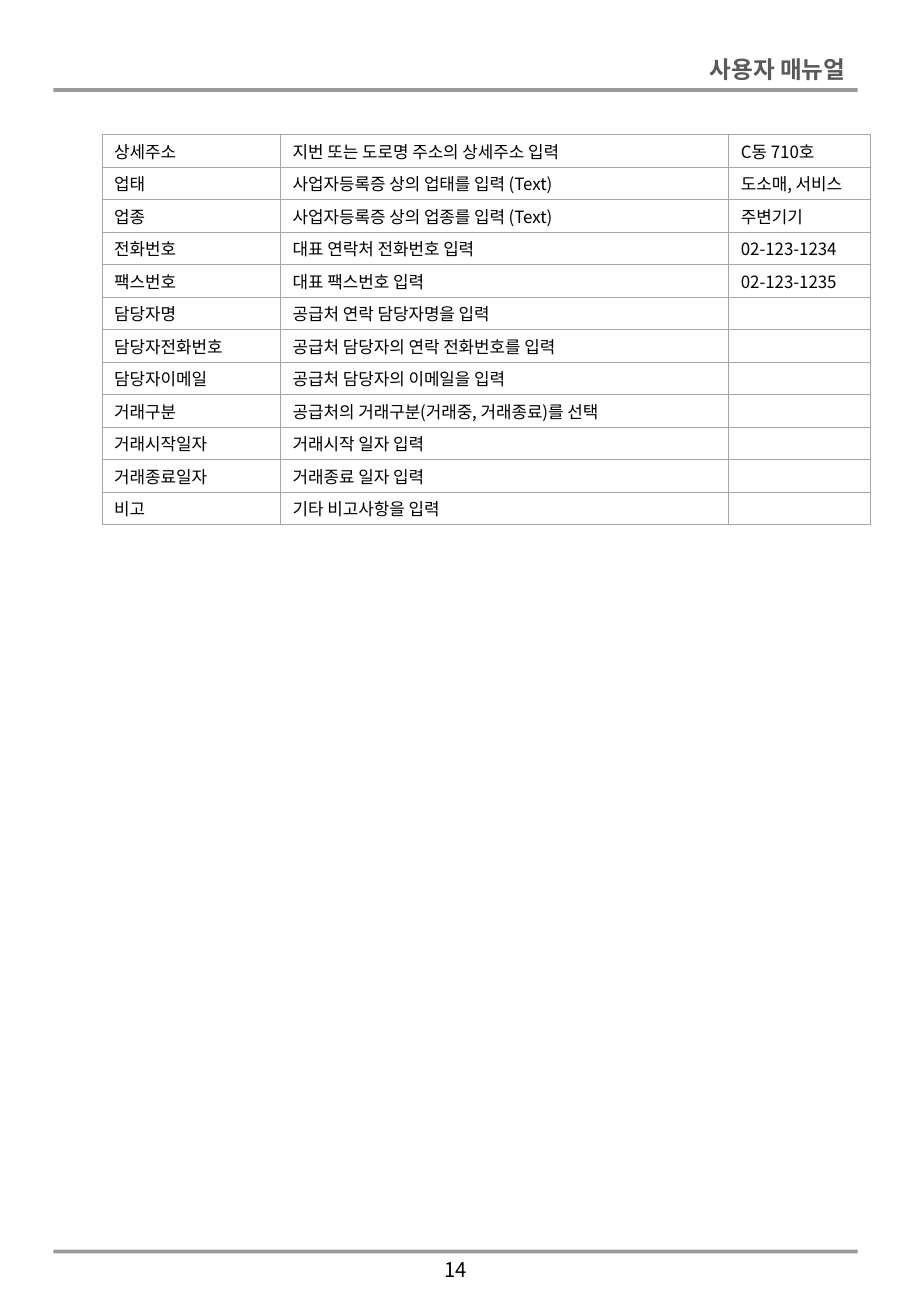
from lxml import etree
from pptx import Presentation
from pptx.dml.color import RGBColor
from pptx.enum import shapes, text
from pptx.oxml.ns import qn
from pptx.util import Inches, Pt

FONT = "Noto Sans CJK KR"
BLACK = RGBColor(0x00, 0x00, 0x00)
TITLE_GRAY = RGBColor(0x59, 0x59, 0x59)
BORDER_GRAY = RGBColor(0xA6, 0xA6, 0xA6)

COLUMN_WIDTHS = (1.47, 3.69, 1.17)
FIELDS = [
    ("상세주소", "지번 또는 도로명 주소의 상세주소 입력", "C동 710호"),
    ("업태", "사업자등록증 상의 업태를 입력 (Text)", "도소매, 서비스"),
    ("업종", "사업자등록증 상의 업종를 입력 (Text)", "주변기기"),
    ("전화번호", "대표 연락처 전화번호 입력", "02-123-1234"),
    ("팩스번호", "대표 팩스번호 입력", "02-123-1235"),
    ("담당자명", "공급처 연락 담당자명을 입력", ""),
    ("담당자전화번호", "공급처 담당자의 연락 전화번호를 입력", ""),
    ("담당자이메일", "공급처 담당자의 이메일을 입력", ""),
    ("거래구분", "공급처의 거래구분(거래중, 거래종료)를 선택", ""),
    ("거래시작일자", "거래시작 일자 입력", ""),
    ("거래종료일자", "거래종료 일자 입력", ""),
    ("비고", "기타 비고사항을 입력", ""),
]


def write_text(tf, content, size=10, color=BLACK, bold=False,
               align=text.PP_ALIGN.LEFT):
    p = tf.paragraphs[0]
    p.alignment = align
    if not content:
        # An empty cell keeps the text size so its row does not grow
        etree.SubElement(p._p, qn("a:endParaRPr"), sz=str(size * 100))
        return
    r = p.add_run()
    r.text = content
    r.font.size = Pt(size)
    r.font.bold = bold
    r.font.color.rgb = color
    r.font.name = FONT
    etree.SubElement(r._r.get_or_add_rPr(), qn("a:ea"), typeface=FONT)


def add_label(slide, box, content, **fmt):
    sp = slide.shapes.add_textbox(*(Inches(v) for v in box))
    sp.text_frame.word_wrap = True
    write_text(sp.text_frame, content, **fmt)


def add_rule(slide, left, y, width):
    line = slide.shapes.add_connector(
        shapes.MSO_CONNECTOR.STRAIGHT,
        Inches(left), Inches(y), Inches(left + width), Inches(y))
    line.line.width = Pt(2.25)
    line.line.color.rgb = BLACK
    spPr = line._element.spPr
    etree.SubElement(next(spPr.iter(qn("a:srgbClr"))), qn("a:alpha"), val="40000")
    etree.SubElement(spPr, qn("a:effectLst"))


def add_header(slide, left, top, width, height):
    title_width = 1.78
    add_label(slide, (left + width - title_width, top, title_width, height),
              "사용자 매뉴얼", size=14, color=TITLE_GRAY, bold=True,
              align=text.PP_ALIGN.RIGHT)
    add_rule(slide, left, top + height, width)


def add_footer(slide, left, top, width, height):
    number_width = 0.55
    add_rule(slide, left, top, width)
    add_label(slide, (left + (width - number_width) / 2, top, number_width, height),
              "14", size=12, align=text.PP_ALIGN.CENTER)


def set_borders(cell):
    tcPr = cell._tc.get_or_add_tcPr()
    for i, side in enumerate(("lnL", "lnR", "lnT", "lnB")):
        ln = etree.Element(qn(f"a:{side}"), w=str(Pt(0.5)))
        fill = etree.SubElement(ln, qn("a:solidFill"))
        etree.SubElement(fill, qn("a:srgbClr"), val=str(BORDER_GRAY))
        tcPr.insert(i, ln)


def add_field_table(slide, left, top, width, height):
    frame = slide.shapes.add_table(
        len(FIELDS), len(COLUMN_WIDTHS),
        Inches(left), Inches(top), Inches(width), Inches(height))
    table = frame.table
    table.first_row = table.horz_banding = False
    for column, column_width in zip(table.columns, COLUMN_WIDTHS):
        column.width = Inches(column_width)
    for row, values in zip(table.rows, FIELDS):
        row.height = Inches(height / len(FIELDS))
        for cell, value in zip(row.cells, values):
            cell.fill.background()
            cell.vertical_anchor = text.MSO_ANCHOR.MIDDLE
            cell.margin_top = cell.margin_bottom = Inches(0.03)
            write_text(cell.text_frame, value)
            set_borders(cell)


def main():
    prs = Presentation()
    prs.slide_width, prs.slide_height = Inches(7.5), Inches(10.83)
    slide = prs.slides.add_slide(prs.slide_layouts[6])
    add_header(slide, 0.44, 0.4, 6.62, 0.34)
    add_field_table(slide, 0.84, 1.11, sum(COLUMN_WIDTHS), 3.21)
    add_footer(slide, 0.44, 10.3, 6.62, 0.3)
    prs.save("out.pptx")


if __name__ == "__main__":
    main()
